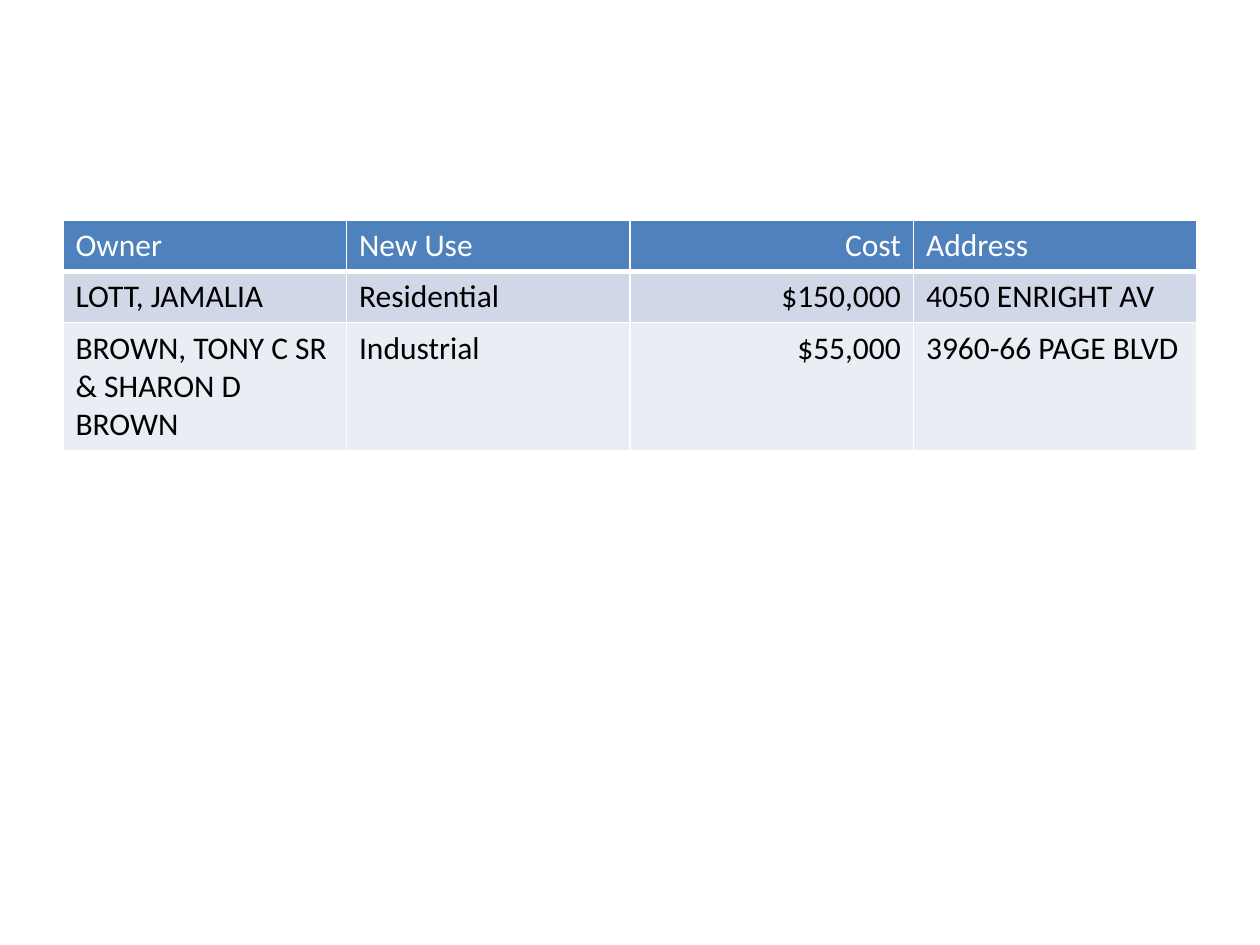
from typing import NamedTuple

from lxml.etree import SubElement
from pptx import Presentation
from pptx.dml.color import RGBColor
from pptx.enum.text import PP_ALIGN
from pptx.oxml.ns import qn
from pptx.table import _Cell
from pptx.util import Inches, Pt


class Column(NamedTuple):
    heading: str
    alignment: PP_ALIGN


class RowStyle(NamedTuple):
    height: float
    fill: str
    text: str
    bottom_border: int


COLUMNS = [
    Column("Owner", PP_ALIGN.LEFT),
    Column("New Use", PP_ALIGN.LEFT),
    Column("Cost", PP_ALIGN.RIGHT),
    Column("Address", PP_ALIGN.LEFT),
]
PERMITS = [
    ("LOTT, JAMALIA", "Residential", "$150,000", "4050 ENRIGHT AV"),
    ("BROWN, TONY C SR & SHARON D BROWN", "Industrial", "$55,000", "3960-66 PAGE BLVD"),
]
ROW_STYLES = [
    RowStyle(0.4, "4F81BD", "FFFFFF", 3),
    RowStyle(0.4, "D0D8E8", "000000", 1),
    RowStyle(1.01, "E9EDF4", "000000", 1),
]
BORDER_COLOR = "FFFFFF"
COLUMN_WIDTH = 2.25


def color(value: str) -> RGBColor:
    return RGBColor.from_string(value)


def add_borders(cell: _Cell, top: int, bottom: int) -> None:
    """Draw all four cell borders; must run before the cell is filled."""
    properties = cell._tc.get_or_add_tcPr()
    for side, width in (("L", 1), ("R", 1), ("T", top), ("B", bottom)):
        line = SubElement(properties, qn(f"a:ln{side}"), w=str(Pt(width)))
        fill = SubElement(line, qn("a:solidFill"))
        SubElement(fill, qn("a:srgbClr"), val=BORDER_COLOR)


def fill_cell(cell: _Cell, text: str, alignment: PP_ALIGN, style: RowStyle, top: int) -> None:
    add_borders(cell, top, style.bottom_border)
    cell.fill.solid()
    cell.fill.fore_color.rgb = color(style.fill)
    cell.text = text
    para = cell.text_frame.paragraphs[0]
    para.alignment = alignment
    para.font.name = "Calibri"
    para.font.size = Pt(18)
    para.font.bold = False
    para.font.color.rgb = color(style.text)


def main() -> None:
    deck = Presentation()
    deck.slide_width, deck.slide_height = Inches(10), Inches(7.5)
    page = deck.slides.add_slide(deck.slide_layouts[6])

    rows = [tuple(column.heading for column in COLUMNS), *PERMITS]
    table = page.shapes.add_table(
        len(rows), len(COLUMNS), Inches(0.5), Inches(1.75),
        Inches(COLUMN_WIDTH * len(COLUMNS)),
        Inches(sum(style.height for style in ROW_STYLES)),
    ).table
    for column in table.columns:
        column.width = Inches(COLUMN_WIDTH)

    top_border = 1
    for row_index, (texts, style) in enumerate(zip(rows, ROW_STYLES)):
        table.rows[row_index].height = Inches(style.height)
        for column_index, (text, column) in enumerate(zip(texts, COLUMNS)):
            cell = table.cell(row_index, column_index)
            fill_cell(cell, text, column.alignment, style, top_border)
        top_border = style.bottom_border

    deck.save("out.pptx")


if __name__ == "__main__":
    main()
